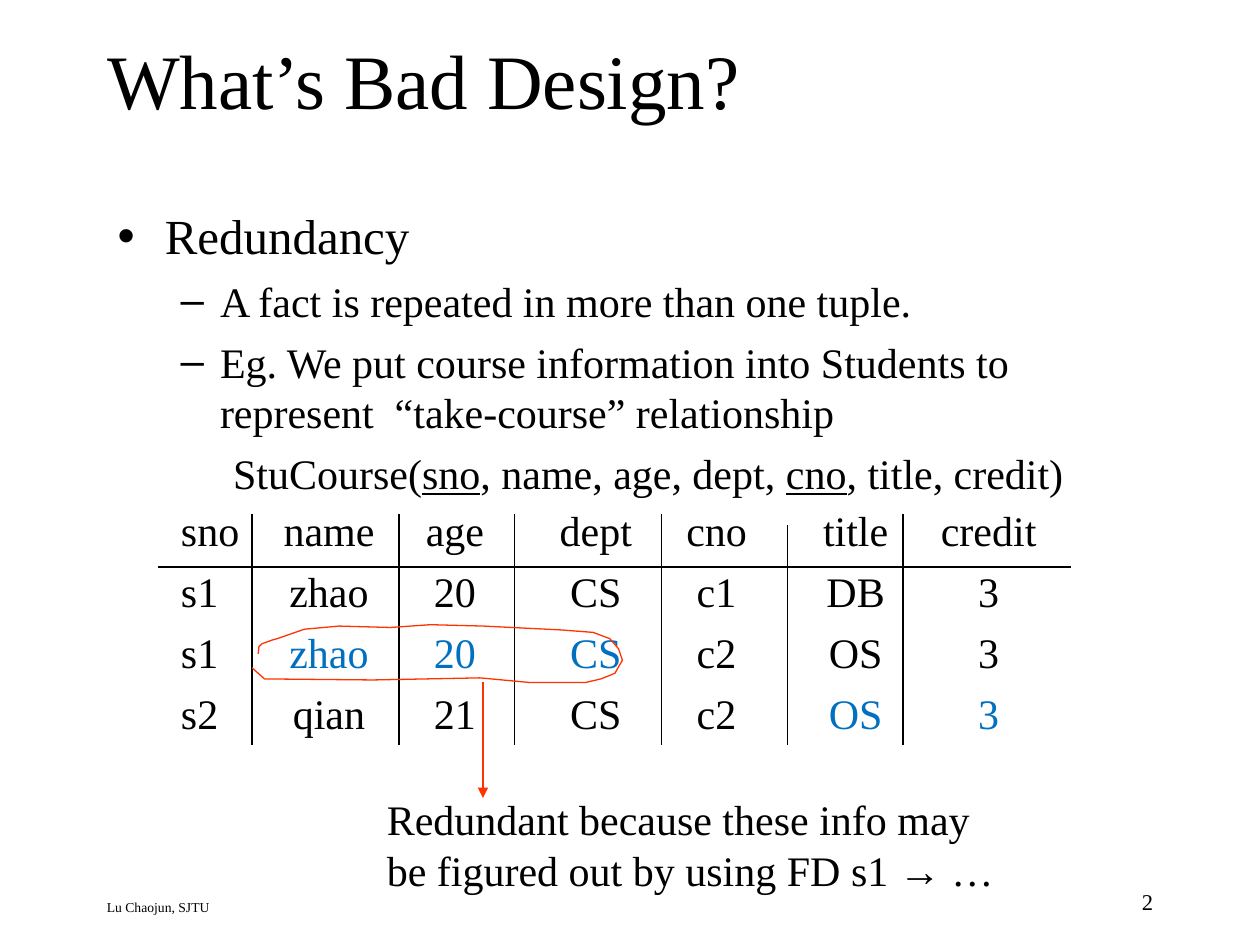
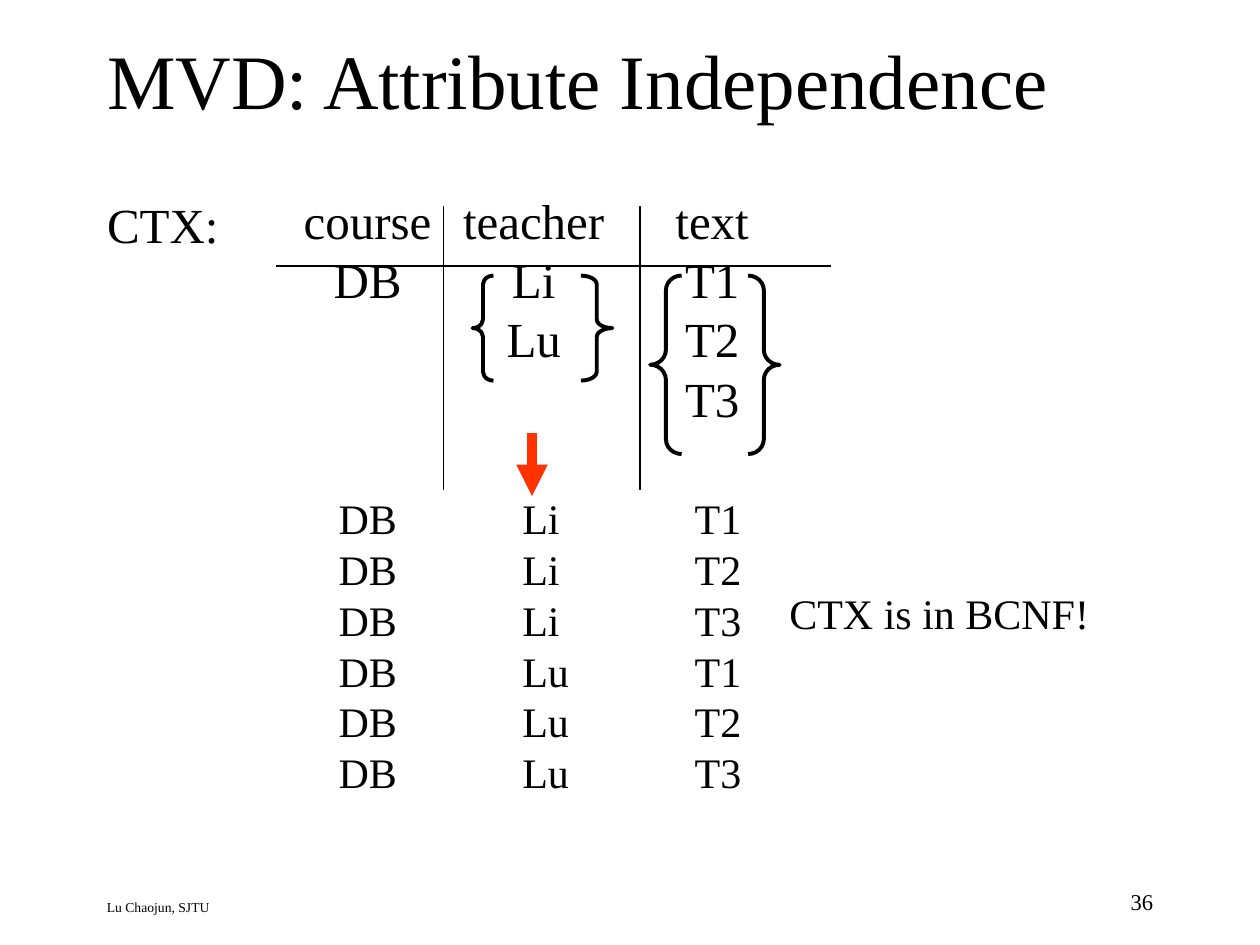
from lxml import etree
from pptx import Presentation
from pptx.dml.color import RGBColor
from pptx.enum import shapes, text
from pptx.oxml import ns
from pptx.util import Pt

BLACK, RED, BLUE = "000000", "FF3300", "0070C0"
SERIF = "Times New Roman"
LEFT, RIGHT = text.PP_ALIGN.LEFT, text.PP_ALIGN.RIGHT
CENTRE = text.PP_ALIGN.CENTER
UNDER = {"underline": True}
TINT = {"color": BLUE}


def paint(hue):
    """Turn a hex string into a colour."""
    return RGBColor.from_string(hue)


def child(node, tag, **attrs):
    """Append a DrawingML element with the given attributes."""
    return etree.SubElement(node, ns.qn("a:" + tag), attrs)


def apply(item, form):
    """Set every attribute named in a format dict."""
    for name, value in form.items():
        setattr(item, name, value)


def write(para, runs, size, **form):
    """Fill a paragraph with runs, each a string or a (string, format) pair."""
    apply(para, {"alignment": LEFT, "space_before": Pt(0), **form})
    for item in [runs] if isinstance(runs, str) else runs:
        words, extra = (item, {}) if isinstance(item, str) else item
        look = {"name": SERIF, "size": Pt(size), "color": BLACK, **extra}
        run = para.add_run()
        run.text = words
        run.font.color.rgb = paint(look.pop("color"))
        apply(run.font, look)


def set_plain(para, left):
    """Drop the bullet and indent the whole paragraph by points."""
    props = para._p.get_or_add_pPr()
    props.set("marL", str(Pt(left)))
    props.set("indent", "0")
    child(props, "buNone")


def place(shape, box):
    """Move and size a shape from a box in points."""
    apply(shape, dict(zip(("left", "top", "width", "height"), map(Pt, box))))


def add_label(slide, box, runs, size, **form):
    """Add a wrapping text box with one paragraph."""
    frame = slide.shapes.add_textbox(*map(Pt, box)).text_frame
    frame.word_wrap = True
    write(frame.paragraphs[0], runs, size, **form)


def add_grid(slide, edges, top, pitch, rows, size, aligns):
    """Add a bare table from column edges, row pitch and rows of cells."""
    box = (edges[0], top, edges[-1] - edges[0], pitch * len(rows))
    table = slide.shapes.add_table(
        len(rows), len(edges) - 1, *map(Pt, box)).table
    apply(table, {"first_row": False, "horz_banding": False})
    for column, start, end in zip(table.columns, edges, edges[1:]):
        column.width = Pt(end - start)
    margins = ("margin_left", "margin_right", "margin_top", "margin_bottom")
    for i, row in enumerate(rows):
        table.rows[i].height = Pt(pitch)
        for j, (words, align) in enumerate(zip(row, aligns)):
            cell = table.cell(i, j)
            apply(cell, dict.fromkeys(margins, 0))
            cell.fill.background()
            runs = words if isinstance(words, str) else [words]
            write(cell.text_frame.paragraphs[0], runs, size, alignment=align)


def add_line(slide, x1, y1, x2, y2, hue=BLACK, width=0.75, head=False):
    """Add a straight line, with an arrowhead if wanted."""
    line = slide.shapes.add_connector(
        shapes.MSO_CONNECTOR.STRAIGHT, *map(Pt, (x1, y1, x2, y2)))
    line.line.color.rgb = paint(hue)
    line.line.width = Pt(width)
    if head:
        child(line.line._get_or_add_ln(), "tailEnd", type="triangle")
    child(line._element.spPr, "effectLst")


def outline(shape, hue, width):
    """Leave a shape unfilled with a plain outline."""
    shape.shadow.inherit = False
    shape.fill.background()
    shape.line.color.rgb = paint(hue)
    shape.line.width = Pt(width)


def add_brace(slide, kind, box):
    """Add a curly brace whose curls are a twelfth of its height."""
    brace = slide.shapes.add_shape(kind, *map(Pt, box))
    brace.adjustments[0] = box[3] / 12 / box[2]
    outline(brace, BLACK, 2.25)


def add_loop(slide, dots):
    """Draw an open hand-drawn loop through points."""
    spots = [(Pt(x), Pt(y)) for x, y in dots]
    pen = slide.shapes.build_freeform(*spots[0])
    pen.add_line_segments(spots[1:], close=False)
    outline(pen.convert_to_shape(), RED, 0.75)


def add_page(deck, title, number, left):
    """Add a slide with title and footers; return it with its body frame."""
    slide = deck.slides.add_slide(deck.slide_layouts[1])
    place(slide.shapes.title, (54, 0, 612, 90))
    write(slide.shapes.title.text_frame.paragraphs[0], title, 44)
    body = slide.placeholders[1]
    place(body, (left, 114, 612, 366))
    body.text_frame.auto_size = text.MSO_AUTO_SIZE.NONE
    add_label(slide, (54, 510, 418, 18), "Lu Chaojun, SJTU", 7.8)
    add_label(slide, (516, 504, 150, 24), number, 12.9, alignment=RIGHT)
    return slide, body.text_frame


def build_bad(deck):
    """Build the slide on redundancy."""
    slide, frame = add_page(deck, "What’s Bad Design?", "2", 60)
    write(frame.paragraphs[0], "Redundancy", 28, space_before=Pt(7))
    schema = ["StuCourse(", ("sno", UNDER), ", name, age, dept, ",
              ("cno", UNDER), ", title, credit)"]
    for runs in ("A fact is repeated in more than one tuple.",
                 "Eg. We put course information into Students to "
                 "represent  “take-course” relationship", schema):
        para = frame.add_paragraph()
        write(para, runs, 24, space_before=Pt(6), level=1)
    set_plain(para, 66)

    zhao = [(word, TINT) for word in ("zhao", "20", "CS")]
    rows = [["sno", "name", "age", "dept", "cno", "title", "credit"],
            ["s1", "zhao", "20", "CS", "c1", "DB", "3"],
            ["s1", *zhao, "c2", "OS", "3"],
            ["s2", "qian", "21", "CS", "c2", ("OS", TINT), ("3", TINT)]]
    edges = (103.4, 160, 216, 304, 377, 442, 536, 594)
    add_grid(slide, edges, 291, 34.86, rows, 24, [LEFT] + [CENTRE] * 6)

    add_line(slide, 90, 324, 612, 324)
    for x in (144, 228, 294, 378, 450, 516):
        add_line(slide, x, 300 if x == 450 else 294, x, 426)
    add_loop(slide, [
        (147.6, 373.7), (148, 369.5), (149.8, 367.9), (155.5, 365.8),
        (158.4, 365), (174, 359.6), (193.7, 357.8), (223.2, 358.6),
        (246, 357), (276.5, 357.8), (320.4, 360), (339, 361.4),
        (348.5, 365), (353.5, 370.8), (355.7, 377.3), (351.4, 384.8),
        (343.4, 388), (334.8, 390), (302.4, 390), (274.3, 387.4),
        (213, 388.6), (151.2, 388), (144, 381.6)])
    add_line(slide, 276, 390, 276, 456, RED, head=True)
    note = ["Redundant because these info may be figured out by using FD s1 ",
            ("→", {"name": "Arial"}), " …"]
    add_label(slide, (214, 450, 374, 65), note, 24, space_before=Pt(15))


def build_mvd(deck):
    """Build the slide on attribute independence."""
    slide, frame = add_page(deck, "MVD: Attribute Independence", "36", 54)
    para = frame.paragraphs[0]
    write(para, "CTX:", 28, space_before=Pt(7), line_spacing=0.8)
    set_plain(para, 0)
    books = ("T1", "T2", "T3")
    nested = [("course", "teacher", "text"), ("DB", "Li", "T1"),
              ("", "Lu", "T2"), ("", "", "T3")]
    add_grid(slide, (160, 260, 350, 464), 111.8, 33.9, nested, 28,
             [CENTRE] * 3)
    flat = [("DB", name, book) for name in ("Li", "Lu") for book in books]
    add_grid(slide, (193.5, 298.5, 397, 440), 284.2, 29.05, flat, 24,
             [LEFT] * 3)

    add_line(slide, 157.5, 152, 475, 152)
    for x in (253.5, 365.75):
        add_line(slide, x, 118, x, 280)
    kinds = shapes.MSO_SHAPE
    for kind, x, width, height in (
            (kinds.LEFT_BRACE, 270, 12, 60), (kinds.RIGHT_BRACE, 332, 18, 60),
            (kinds.LEFT_BRACE, 371.5, 18, 102),
            (kinds.RIGHT_BRACE, 427.5, 18, 102)):
        add_brace(slide, kind, (x, 157.5, width, height))
    add_line(slide, 304, 247.5, 304, 283.5, RED, 6, True)
    add_label(slide, (444, 332, 210, 36), "CTX is in BCNF!", 24,
              space_before=Pt(15))


def main():
    """Build and save the deck."""
    deck = Presentation()
    deck.slide_width, deck.slide_height = Pt(720), Pt(540)
    build_bad(deck)
    build_mvd(deck)
    deck.save("out.pptx")


if __name__ == "__main__":
    main()
